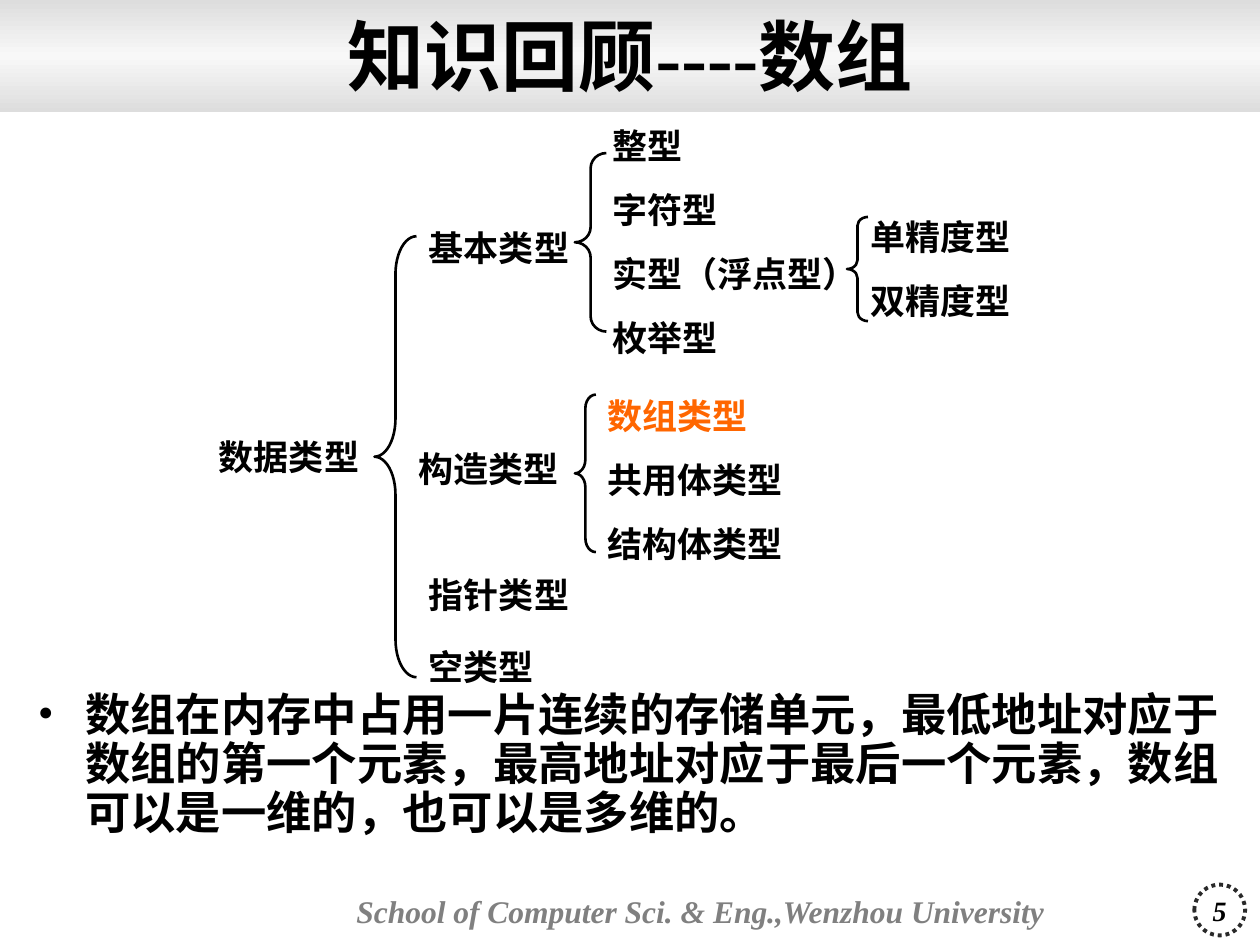
"""Build the slide that reviews data types and arrays."""
from lxml import etree
from pptx import Presentation
from pptx import util as u
from pptx.dml import color
from pptx.enum import dml, shapes, text
from pptx.oxml import ns

SANS, SERIF = "Noto Sans CJK SC", "Times New Roman"
BLACK, ORANGE = "000000", "FF6600"


def rgb(code):
    """Turn a hex string into a colour."""
    return color.RGBColor.from_string(code)


def put(obj, vals):
    """Set each value of a dict on an object."""
    for key, val in vals.items():
        setattr(obj, key, val)


def write(run, words, size, face, tint=BLACK, **more):
    """Fill a run with bold text for both scripts."""
    run.text = words
    put(run.font, dict(size=u.Pt(size), name=face, bold=True, **more))
    run.font.color.rgb = rgb(tint)
    east = etree.SubElement(run.font._element, ns.qn("a:ea"))
    east.set("typeface", SANS)


def frame(shape, pad=(7.2, 3.6, 7.2, 3.6), mid=False):
    """Set the insets, wrap and anchor of a text frame."""
    body = shape.text_frame
    sides = ("margin_left", "margin_top", "margin_right", "margin_bottom")
    put(body, dict(zip(sides, map(u.Pt, pad))))
    anchor = text.MSO_ANCHOR.MIDDLE if mid else text.MSO_ANCHOR.TOP
    put(body, dict(word_wrap=True, vertical_anchor=anchor))
    return body


def box(slide, at):
    """Add an empty text box."""
    return slide.shapes.add_textbox(*map(u.Pt, at))


def form(slide, kind, at):
    """Add a preset shape with no shadow, fill or line."""
    shape = slide.shapes.add_shape(kind, *map(u.Pt, at))
    shape.shadow.inherit = False
    shape.fill.background()
    shape.line.fill.background()
    return shape


def band(slide):
    """Draw the grey gradient behind the title."""
    fill = form(slide, shapes.MSO_SHAPE.RECTANGLE, (0, 0, 720, 64)).fill
    fill.gradient()
    fill.gradient_angle = 90
    stops = fill._fill._gradFill.find(ns.qn("a:gsLst"))
    for stop in list(stops):
        stops.remove(stop)
    for pos, tint in ((0, "DDDDDD"), (50, "F8F8F8"), (100, "DDDDDD")):
        stop = etree.SubElement(stops, ns.qn("a:gs"), pos=str(pos * 1000))
        etree.SubElement(stop, ns.qn("a:srgbClr"), val=tint)


def title(slide, words):
    """Write the centred title."""
    para = frame(box(slide, (0, -1.5, 720, 65)), mid=True).paragraphs[0]
    para.alignment = text.PP_ALIGN.CENTER
    write(para.add_run(), words, 44, SERIF)


def brace(slide, at, bend):
    """Draw a left brace."""
    shape = form(slide, shapes.MSO_SHAPE.LEFT_BRACE, at)
    shape.adjustments[0] = bend
    shape.line.width = u.Pt(1.5)
    shape.line.color.rgb = rgb(BLACK)


def terms(slide, at, *words, first=BLACK):
    """Write a column of type names."""
    body = frame(box(slide, at), (7.2, 5.6, 0, 3.6))
    for num, word in enumerate(words):
        para = body.add_paragraph() if num else body.paragraphs[0]
        gap = 12.5 if num else 0
        put(para, dict(line_spacing=u.Pt(24), space_before=u.Pt(gap)))
        write(para.add_run(), word, 20, SANS, BLACK if num else first)


def point(slide, at, words):
    """Write the bulleted statement."""
    para = frame(box(slide, at), (7.2, 6.2, 7.2, 3.6)).paragraphs[0]
    para.line_spacing = u.Pt(28)
    prop = para._p.get_or_add_pPr()
    prop.set("marL", str(u.Pt(27)))
    prop.set("indent", str(u.Pt(-27)))
    etree.SubElement(prop, ns.qn("a:buFont"), typeface=SERIF)
    etree.SubElement(prop, ns.qn("a:buChar"), char="•")
    write(para.add_run(), words, 25.9, SERIF)


def footer(slide, words, page):
    """Write the school name and the ringed page number."""
    body = frame(box(slide, (200, 497, 431, 47.5)), (3.6, 1.4, 3.6, 1.4), True)
    write(body.paragraphs[0].add_run(), words, 18, SERIF, "808080", italic=True)
    ring = form(slide, shapes.MSO_SHAPE.OVAL, (682.5, 505.5, 29, 29))
    put(ring.line, dict(width=u.Pt(2.25), dash_style=dml.MSO_LINE.ROUND_DOT))
    ring.line.color.rgb = rgb("292929")
    para = frame(ring, (0, 0, 0, 0), True).paragraphs[0]
    para.alignment = text.PP_ALIGN.CENTER
    write(para.add_run(), page, 16, SERIF, italic=True)


def main():
    """Build and save the slide."""
    deck = Presentation()
    put(deck, dict(slide_width=u.Pt(720), slide_height=u.Pt(540)))
    slide = deck.slides.add_slide(deck.slide_layouts[6])
    band(slide)
    footer(slide, "School of Computer Sci. & Eng.,Wenzhou University", "5")
    title(slide, "知识回顾----数组")
    for at, bend in (
        ((484, 124, 12, 59.5), 0.42),
        ((328.5, 87.5, 18, 102), 0.48),
        ((328.5, 225.5, 12, 90), 0.65),
        ((214, 135, 24, 252), 0.9),
    ):
        brace(slide, at, bend)
    terms(slide, (490.5, 117.5, 108, 68), "单精度型", "双精度型")
    terms(slide, (343, 65.5, 169, 141), "整型", "字符型", "实型（浮点型）", "枚举型")
    terms(slide, (340, 220, 135, 104), "数组类型", "共用体类型", "结构体类型", first=ORANGE)
    for left, top, word in (
        (118, 243.5, "数据类型"),
        (238, 124, "基本类型"),
        (232, 250, "构造类型"),
        (238, 322, "指针类型"),
        (238, 363.5, "空类型"),
    ):
        terms(slide, (left, top, 96, 32), word)
    point(slide, (14.5, 389, 692, 108),
          "数组在内存中占用一片连续的存储单元，最低地址对应于数组的第一个元素，"
          "最高地址对应于最后一个元素，数组可以是一维的，也可以是多维的。")
    deck.save("out.pptx")


if __name__ == "__main__":
    main()
